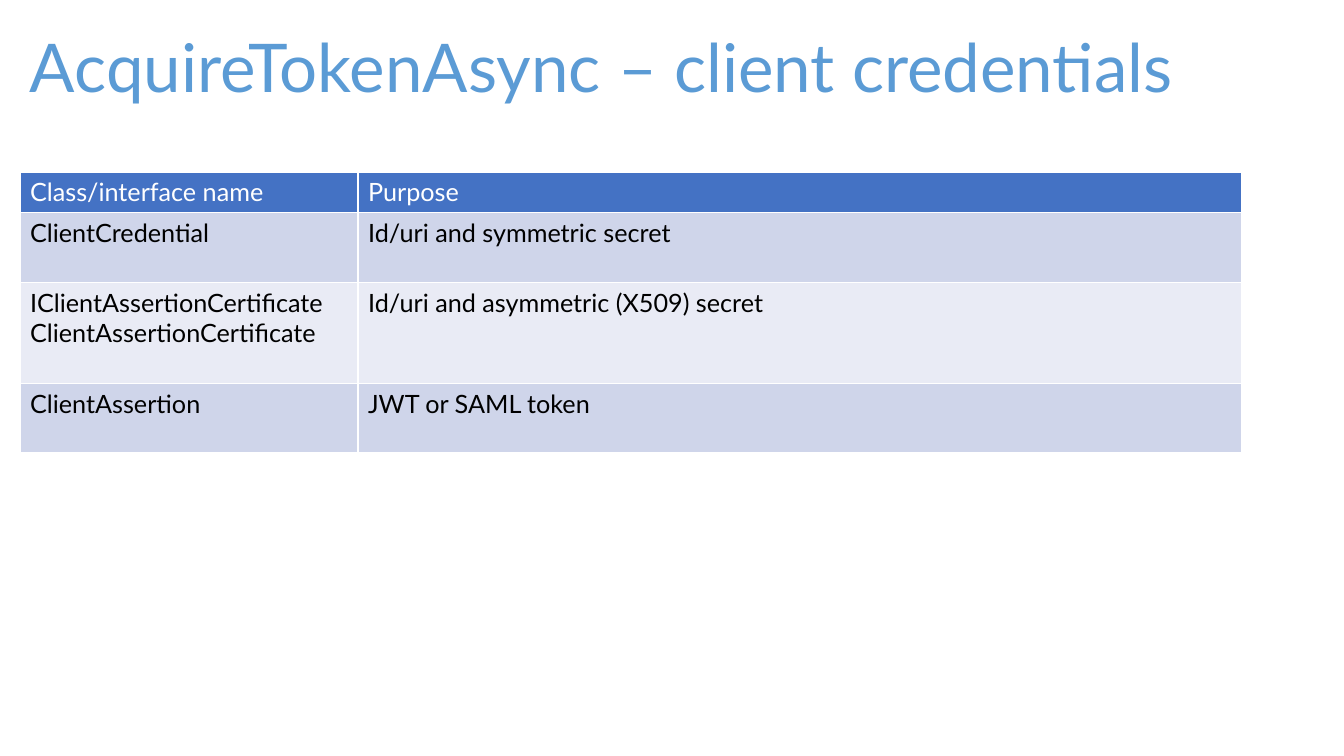
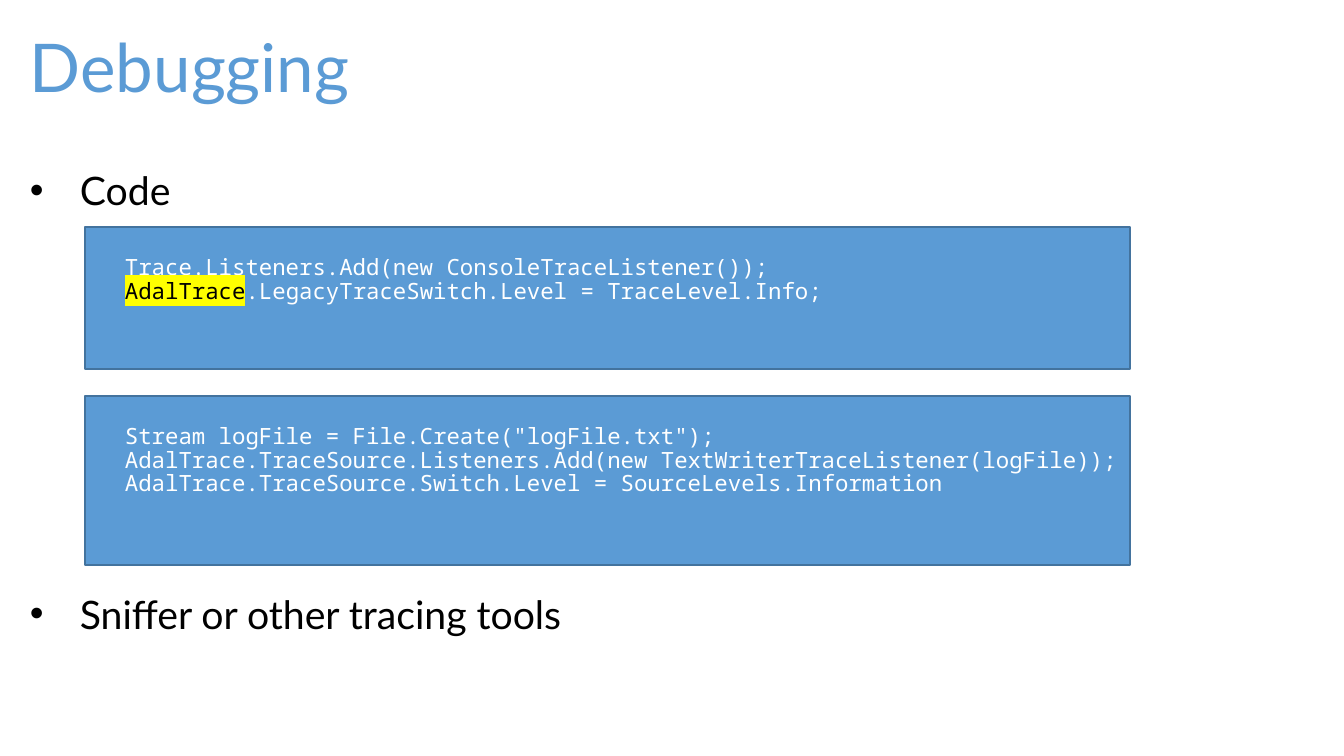
from dataclasses import dataclass

from lxml.etree import SubElement
from pptx import Presentation
from pptx.dml.color import RGBColor as Rgb
from pptx.enum.shapes import MSO_SHAPE as Shape
from pptx.enum.text import MSO_ANCHOR as Anchor, PP_ALIGN as Align
from pptx.oxml import parse_xml
from pptx.oxml.ns import nsdecls, qn
from pptx.util import Emu, Pt

SCALE = 914400 / 100.8


@dataclass(frozen=True)
class Theme:
    """Colours, fonts and type sizes shared by the slides."""
    accent: str = "5B9BD5"
    code_edge: str = "43739E"
    header: str = "4472C4"
    bands: tuple = ("CFD5EA", "E9EBF5")
    light: str = "FFFFFF"
    dark: str = "000000"
    marker: str = "FFFF00"
    text_font: str = "Lato"
    code_font: str = "Noto Sans Mono"
    title_size: int = 48
    body_size: int = 28
    table_size: int = 18
    code_size: int = 16


theme = Theme()


def px(*lengths):
    """Turn pixel lengths into a list of EMU lengths."""
    return [Emu(round(length * SCALE)) for length in lengths]


def write(paragraph, text, size, colour, font=theme.text_font):
    """Add one styled run to a paragraph and return it."""
    run = paragraph.add_run()
    run.text = text
    run.font.size = Pt(size)
    run.font.bold = False
    run.font.name = font
    run.font.color.rgb = Rgb.from_string(colour)
    return run


deck = Presentation()
deck.slide_width, deck.slide_height = px(1344, 756)

# Both slides carry the same title style
slides = []
for heading in ("AcquireTokenAsync – client credentials", "Debugging"):
    slide = deck.slides.add_slide(deck.slide_layouts[6])
    title = slide.shapes.add_textbox(*px(20, 20, 1309, 101)).text_frame
    title.word_wrap = True
    title.vertical_anchor = Anchor.MIDDLE
    title.paragraphs[0].line_spacing = 0.9
    write(title.paragraphs[0], heading, theme.title_size, theme.accent)
    slides.append(slide)
credentials_slide, debugging_slide = slides

# Client credentials table
credentials = [
    ("Class/interface name", "Purpose"),
    ("ClientCredential", "Id/uri and symmetric secret"),
    ("IClientAssertionCertificate\nClientAssertionCertificate",
     "Id/uri and asymmetric (X509) secret"),
    ("ClientAssertion", "JWT or SAML token"),
]
column_widths = (338, 884)
row_heights = (40, 70, 101, 69)
table = credentials_slide.shapes.add_table(
    len(row_heights), len(column_widths),
    *px(20, 172, sum(column_widths), sum(row_heights))).table
for column, width in zip(table.columns, px(*column_widths)):
    column.width = width
for row, height in zip(table.rows, px(*row_heights)):
    row.height = height

for row_index, entries in enumerate(credentials):
    is_header = row_index == 0
    fill = theme.header if is_header else theme.bands[(row_index - 1) % 2]
    colour = theme.light if is_header else theme.dark
    for column_index, entry in enumerate(entries):
        cell = table.cell(row_index, column_index)
        cell.fill.solid()
        cell.fill.fore_color.rgb = Rgb.from_string(fill)
        for line_index, line in enumerate(entry.split("\n")):
            frame = cell.text_frame
            paragraph = frame.add_paragraph() if line_index else frame.paragraphs[0]
            write(paragraph, line, theme.table_size, colour)
        properties = cell._tc.get_or_add_tcPr()
        for position, side in enumerate("LRTB"):
            properties.insert(position, parse_xml(
                f'<a:ln{side} {nsdecls("a")} w="12700"><a:solidFill>'
                f'<a:srgbClr val="{theme.light}"/></a:solidFill></a:ln{side}>'))

# Debugging topics, with room for the code between them
topics = debugging_slide.shapes.add_textbox(*px(20, 138, 1309, 602)).text_frame
topics.word_wrap = True
indent, = px(50)
for index, (topic, space_before) in enumerate(
        (("Code", 10), ("Sniffer or other tracing tools", 252))):
    paragraph = topics.add_paragraph() if index else topics.paragraphs[0]
    paragraph.line_spacing = 1.5
    paragraph.space_before = Pt(space_before)
    write(paragraph, topic, theme.body_size, theme.dark)
    bullet = paragraph._p.get_or_add_pPr()
    bullet.set("marL", str(indent))
    bullet.set("indent", str(-indent))
    SubElement(bullet, qn("a:buFont")).set("typeface", "Arial")
    SubElement(bullet, qn("a:buChar")).set("char", "•")

# Code panels: each line is a list of (text, is highlighted)
panels = [
    (227, 142, [
        [("Trace.Listeners.Add(new ConsoleTraceListener());", False)],
        [("AdalTrace", True),
         (".LegacyTraceSwitch.Level = TraceLevel.Info;", False)],
    ]),
    (396, 169, [
        [('Stream logFile = File.Create("logFile.txt");', False)],
        [("AdalTrace.TraceSource.Listeners.Add("
          "new TextWriterTraceListener(logFile));", False)],
        [("AdalTrace.TraceSource.Switch.Level = SourceLevels.Information", False)],
    ]),
]
for top, height, code in panels:
    panel = debugging_slide.shapes.add_shape(
        Shape.RECTANGLE, *px(85, top, 1045, height))
    panel.shadow.inherit = False
    panel.fill.solid()
    panel.fill.fore_color.rgb = Rgb.from_string(theme.accent)
    panel.line.color.rgb = Rgb.from_string(theme.code_edge)
    panel.line.width = Pt(1)
    frame = panel.text_frame
    frame.word_wrap = False
    frame.vertical_anchor = Anchor.TOP
    (frame.margin_left, frame.margin_top,
     frame.margin_right, frame.margin_bottom) = px(40, 30, 0, 0)
    for index, line in enumerate(code):
        paragraph = frame.add_paragraph() if index else frame.paragraphs[0]
        paragraph.alignment = Align.LEFT
        paragraph.line_spacing = 0.87
        for text, highlighted in line:
            run = write(paragraph, text, theme.code_size,
                        theme.dark if highlighted else theme.light, theme.code_font)
            if highlighted:
                run._r.rPr.find(qn("a:solidFill")).addnext(parse_xml(
                    f'<a:highlight {nsdecls("a")}>'
                    f'<a:srgbClr val="{theme.marker}"/></a:highlight>'))

deck.save("out.pptx")
